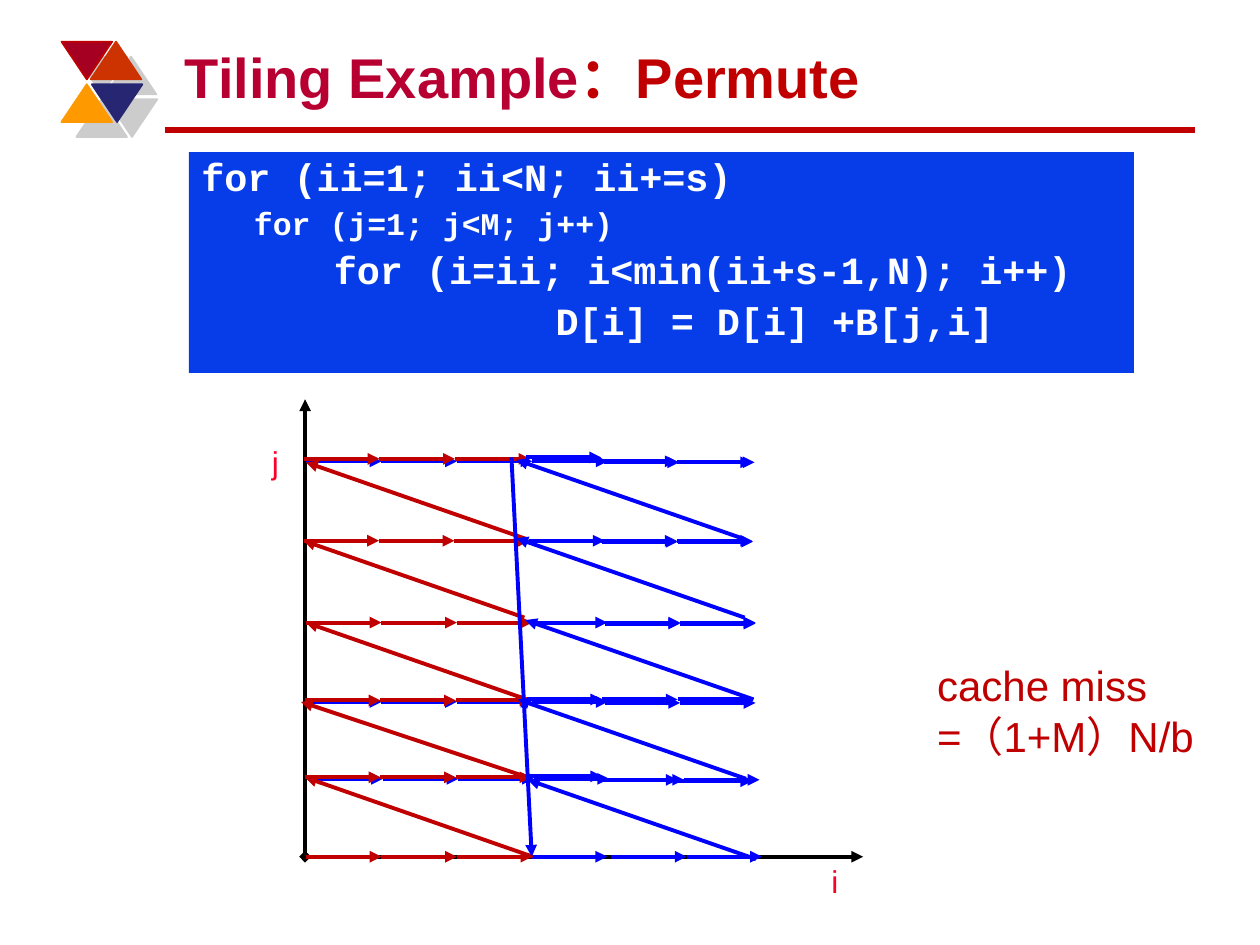
import lxml.etree
import pptx
import pptx.util
import pptx.dml.color
import pptx.enum.shapes
import pptx.enum.text
import pptx.oxml
import pptx.oxml.ns

Cm, Pt = pptx.util.Cm, pptx.util.Pt
RGBColor = pptx.dml.color.RGBColor
SHAPE = pptx.enum.shapes.MSO_SHAPE
ANCHOR = pptx.enum.text.MSO_ANCHOR
qn = pptx.oxml.ns.qn

RED = RGBColor(0xC0, 0x00, 0x00)
BLUE = RGBColor(0x00, 0x00, 0xFF)
BLACK = RGBColor(0x00, 0x00, 0x00)
WHITE = RGBColor(0xFF, 0xFF, 0xFF)
CRIMSON = RGBColor(0xB7, 0x00, 0x31)
LABEL_RED = RGBColor(0xFC, 0x01, 0x28)
CODE_BLUE = RGBColor(0x06, 0x3D, 0xE8)
DARK_RED = RGBColor(0xA5, 0x00, 0x21)
ORANGE_RED = RGBColor(0xCC, 0x33, 0x00)
ORANGE = RGBColor(0xFF, 0x99, 0x00)
NAVY = RGBColor(0x26, 0x26, 0x73)

SHADOW = (
    f'<a:effectLst {pptx.oxml.ns.nsdecls("a")}>'
    '<a:outerShdw dist="153670" dir="2700000" algn="ctr" rotWithShape="0">'
    '<a:srgbClr val="000000"><a:alpha val="20000"/></a:srgbClr>'
    '</a:outerShdw></a:effectLst>'
)

prs = pptx.Presentation()
prs.slide_width, prs.slide_height = Cm(25.4), Cm(19.05)
s = prs.slides.add_slide(prs.slide_layouts[6])


def add_line(x1, y1, x2, y2, color, width=2.25, head=None, tail="triangle"):
    """Draw a straight line in cm; head and tail are arrowheads at its start and end."""
    line = s.shapes.add_connector(
        pptx.enum.shapes.MSO_CONNECTOR.STRAIGHT, Cm(x1), Cm(y1), Cm(x2), Cm(y2))
    line.line.color.rgb = color
    line.line.width = Pt(width)
    spPr = line._element.spPr
    ln = spPr.find(qn("a:ln"))
    for tag, kind in (("a:headEnd", head), ("a:tailEnd", tail)):
        if kind:
            lxml.etree.SubElement(ln, qn(tag)).set("type", kind)
    lxml.etree.SubElement(spPr, qn("a:effectLst"))


def add_run(p, text, size, color, font="Arial", bold=False):
    r = p.add_run()
    r.text = text
    r.font.size, r.font.name, r.font.bold = Pt(size), font, bold
    r.font.color.rgb = color


# Title, its rule and the triangle ornament
add_line(3.33, 2.62, 24.08, 2.62, RED, width=3, tail=None)
for x, y, rotation, color in (
    (1.24, 0.84, 180, DARK_RED),
    (1.83, 0.84, 0, ORANGE_RED),
    (1.24, 1.7, 0, ORANGE),
    (1.85, 1.7, 180, NAVY),
):
    sp = s.shapes.add_shape(SHAPE.ISOSCELES_TRIANGLE, Cm(x), Cm(y), Cm(1.02), Cm(0.76))
    sp.rotation = rotation
    sp.fill.solid()
    sp.fill.fore_color.rgb = color
    sp.line.color.rgb = RED if color == DARK_RED else color
    sp.line.width = Pt(1)
    sp._element.spPr.append(pptx.oxml.parse_xml(SHADOW))

tf = s.shapes.add_textbox(Cm(3.48), Cm(0.64), Cm(20.32), Cm(1.7)).text_frame
tf.word_wrap = True
tf.vertical_anchor = ANCHOR.BOTTOM
p = tf.paragraphs[0]
add_run(p, "Tiling Example", 32, CRIMSON, bold=True)
add_run(p, "：Permute", 32, RED, bold=True)

# Axes
add_line(6.15, 8.05, 6.15, 17.27, BLACK, head="triangle", tail=None)
add_line(6.15, 17.27, 17.4, 17.27, BLACK, head="diamond")
for name, x, y in (("j", 5.23, 8.81), ("i", 16.51, 17.25)):
    tf = s.shapes.add_textbox(Cm(x), Cm(y), Cm(0.97), Cm(1.02)).text_frame
    tf.word_wrap = True
    add_run(tf.paragraphs[0], name, 18, LABEL_RED)

# Iteration steps: color, start x, y, number of steps
STEP = 1.52
for color, x, y, count in (
    (RED, 6.17, 17.27, 3), (BLUE, 10.72, 17.27, 1), (BLUE, 12.32, 17.27, 2),
    (BLUE, 6.2, 15.7, 4), (BLUE, 12.27, 15.72, 2),
    (BLUE, 6.17, 14.15, 4), (BLUE, 12.19, 14.17, 2),
    (RED, 6.17, 12.55, 3), (BLUE, 10.72, 12.55, 1), (BLUE, 12.19, 12.57, 2),
    (BLUE, 12.19, 12.55, 2),
    (RED, 6.15, 15.67, 3), (BLUE, 10.62, 15.65, 1),
    (BLUE, 12.14, 15.72, 1), (BLUE, 13.64, 15.75, 1),
    (RED, 6.15, 14.12, 3), (BLUE, 10.62, 14.1, 3),
    (BLUE, 6.17, 9.3, 4), (BLUE, 12.17, 9.32, 2),
    (RED, 6.12, 10.9, 3), (BLUE, 10.67, 10.9, 1), (BLUE, 12.14, 10.92, 2),
    (BLUE, 12.12, 10.9, 2),
    (RED, 6.13, 9.25, 3), (BLUE, 10.6, 9.22, 1),
    (BLUE, 12.12, 9.3, 1), (BLUE, 13.64, 9.32, 1),
):
    for k in range(count):
        add_line(x + k * STEP, y, x + (k + 1) * STEP, y, color)

# Code
sp = s.shapes.add_shape(SHAPE.RECTANGLE, Cm(3.81), Cm(3.07), Cm(19.05), Cm(4.45))
sp.shadow.inherit = False
sp.fill.solid()
sp.fill.fore_color.rgb = CODE_BLUE
sp.line.fill.background()
tf = sp.text_frame
tf.word_wrap = True
tf.vertical_anchor = ANCHOR.TOP
for k, (text, size, indent) in enumerate((
    ("for (ii=1; ii<N; ii+=s)", 22, 0),
    ("for (j=1; j<M; j++)", 18, 1.06),
    ("for (i=ii; i<min(ii+s-1,N); i++)", 22, 2.67),
    ("D[i] = D[i] +B[j,i]", 22, 7.14),
)):
    p = tf.add_paragraph() if k else tf.paragraphs[0]
    p.alignment = pptx.enum.text.PP_ALIGN.LEFT
    p.line_spacing = 0.9
    p.space_before = Pt(size / 4 if k else 0)
    p._p.get_or_add_pPr().set("marL", str(Cm(indent)))
    add_run(p, text, size, WHITE, "Courier New", True)

# Jumps back to the start of the next row
for x1, y1, x2, y2 in (
    (10.74, 17.27, 6.15, 15.67),
    (10.64, 15.67, 6.07, 14.15),
    (10.62, 14.1, 6.17, 12.55),
    (10.57, 12.45, 6.12, 10.9),
    (10.62, 10.87, 6.17, 9.32),
):
    add_line(x1, y1, x2, y2, RED)
add_line(10.31, 9.22, 10.72, 17.27, BLUE)
for x, y in ((15.24, 17.32), (15.04, 15.7), (15.19, 14.1), (15.01, 12.45), (15.01, 10.87)):
    add_line(x, y, x - 4.6, y - 1.6, BLUE)

# Cache miss count
tf = s.shapes.add_textbox(Cm(18.64), Cm(13.18), Cm(5.92), Cm(3.3)).text_frame
tf.word_wrap = True
add_run(tf.paragraphs[0], "cache miss", 24, RED)
add_run(tf.add_paragraph(), "=（1+M）N/b", 24, RED)

prs.save("out.pptx")
